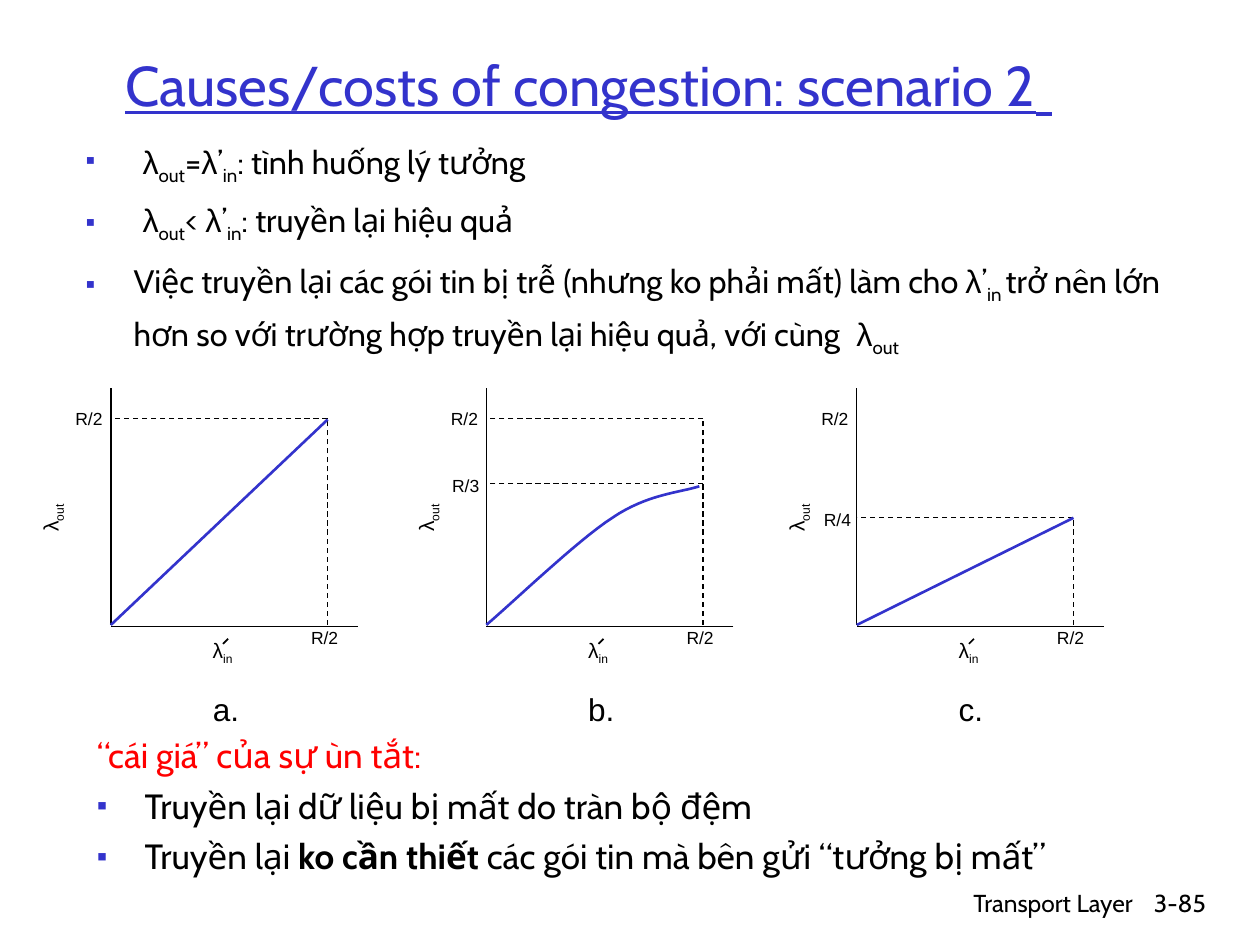
from lxml.etree import SubElement
from pptx import Presentation
from pptx.dml.color import RGBColor
from pptx.enum.dml import MSO_LINE
from pptx.enum.shapes import MSO_CONNECTOR
from pptx.enum.text import MSO_ANCHOR, MSO_AUTO_SIZE, PP_ALIGN
from pptx.oxml.ns import qn
from pptx.util import Inches, Pt

BLACK, BLUE, RED = "000000", "3333CC", "FF0000"
TITLE = "Causes/costs of congestion: scenario 2"
LAMBDA_OUT = [("λ", "greek"), ("out", "sub")]
LAMBDA_IN = [("λ", "greek"), ("’", ""), ("in", "sub")]
FACTS = [
    (0.9, [(" ", "greek"), *LAMBDA_OUT, ("=", ""), *LAMBDA_IN, (": tình huống lý tưởng", "")]),
    (1.2, [(" ", "greek"), *LAMBDA_OUT, ("< ", ""), *LAMBDA_IN, (": truyền lại hiệu quả", "")]),
    (1.2, [
        ("Việc truyền lại các gói tin bị trễ (nhưng ko phải mất) làm cho ", ""),
        *LAMBDA_IN, (" ", "sub"),
        ("trở nên lớn hơn so với trường hợp truyền lại hiệu quả, với cùng ", ""),
        (" ", "greek"), *LAMBDA_OUT,
    ]),
]
COST_HEADING = "“cái giá” của sự ùn tắt:"
COSTS = [
    [("Truyền lại dữ liệu bị mất do tràn bộ đệm", "")],
    [("Truyền lại ", ""), ("ko cần thiết", "bold"), (" các gói tin mà bên gửi “tưởng bị mất”", "")],
]
FOOTERS = [("Transport Layer", 5.92, 3.17), ("3-85", 8.93, 0.74)]

AXIS_TOP, AXIS_BASE, AXIS_LENGTH = 3.08, 4.96, 1.96
HALF_X, HALF_Y = 1.72, 3.32
GRAPHS = [
    {"name": "a.", "left": 0.88, "guides": [HALF_Y], "drop": HALF_Y, "end": 3.33},
    {"name": "b.", "left": 3.86, "guides": [HALF_Y, 3.84], "drop": HALF_Y,
     "level": ("R/3", -0.37, 3.72),
     "curve": [(0, 4.96), (0.17, 4.82), (0.72, 4.29), (1, 4.11), (1.28, 3.92), (1.54, 3.91), (1.69, 3.86)]},
    {"name": "c.", "left": 6.8, "guides": [4.11], "drop": 4.11, "end": 4.11,
     "level": ("R/4", -0.36, 3.99)},
]


def color(value):
    return RGBColor.from_string(value)


def write(para, spans, size, font="Cabin", fill=BLACK, align=PP_ALIGN.LEFT, before=0, spacing=1.0, bullet=None):
    properties = para._p.get_or_add_pPr()
    hang = 0.38 if bullet is not None else 0
    properties.set("marL", str(Inches(hang)))
    properties.set("indent", str(-Inches(hang)))
    para.alignment = align
    para.line_spacing = spacing
    para.space_before = Pt(before)
    if bullet:
        tint = SubElement(SubElement(properties, qn("a:buClr")), qn("a:srgbClr"))
        tint.set("val", BLUE)
        SubElement(properties, qn("a:buSzPct")).set("val", "85000")
        SubElement(properties, qn("a:buFont")).set("typeface", "Arial")
        SubElement(properties, qn("a:buChar")).set("char", bullet)
    else:
        SubElement(properties, qn("a:buNone"))
    for text, style in spans:
        span = para.add_run()
        span.text = text
        span.font.size = Pt(size)
        span.font.name = "Arial" if style == "greek" else font
        span.font.color.rgb = color(fill)
        if style == "bold":
            span.font.bold = True
        if style == "sub":
            span.font._element.set("baseline", "-25000")


def place(shape, left, top, width, height):
    shape.left, shape.top = Inches(left), Inches(top)
    shape.width, shape.height = Inches(width), Inches(height)


def add_text(page, spans, left, top, width, height, size, wrap=True, turn=0, **style):
    box = page.shapes.add_textbox(Inches(left), Inches(top), Inches(width), Inches(height))
    box.rotation = turn
    box.text_frame.word_wrap = wrap
    if not wrap:
        box.text_frame.auto_size = MSO_AUTO_SIZE.SHAPE_TO_FIT_TEXT
    write(box.text_frame.paragraphs[0], spans, size, **style)
    return box


def add_label(page, spans, left, top, width, height, size, **style):
    return add_text(page, spans, left, top, width, height, size, font="Arial", **style)


def add_line(page, start, end, fill=BLACK, width=0.75, dash=False):
    line = page.shapes.add_connector(MSO_CONNECTOR.STRAIGHT, *map(Inches, (*start, *end)))
    line.line.color.rgb = color(fill)
    line.line.width = Pt(width)
    if dash:
        line.line.dash_style = MSO_LINE.DASH
    SubElement(line._element.spPr, qn("a:effectLst"))


def bezier(points, steps=16):
    for step in range(1, steps + 1):
        t = step / steps
        weights = ((1 - t) ** 3, 3 * t * (1 - t) ** 2, 3 * t * t * (1 - t), t ** 3)
        yield tuple(sum(w * p[axis] for w, p in zip(weights, points)) for axis in (0, 1))


def add_curve(page, points):
    vertices = [*bezier(points[:4]), *bezier(points[3:])]
    builder = page.shapes.build_freeform(*map(Inches, points[0]))
    builder.add_line_segments([(Inches(x), Inches(y)) for x, y in vertices], close=False)
    curve = builder.convert_to_shape()
    curve.shadow.inherit = False
    curve.fill.background()
    curve.line.color.rgb = color(BLUE)
    curve.line.width = Pt(1.5)


def add_graph(page, graph):
    left = graph["left"]
    add_line(page, (left, AXIS_TOP), (left, AXIS_BASE))
    add_line(page, (left + AXIS_LENGTH, 4.97), (left, 4.97))
    for height in graph["guides"]:
        add_line(page, (left + HALF_X, height), (left, height), dash=True)
    add_line(page, (left + HALF_X, AXIS_BASE), (left + HALF_X, graph["drop"]), dash=True)
    if "curve" in graph:
        add_curve(page, [(left + x, y) for x, y in graph["curve"]])
    else:
        add_line(page, (left, AXIS_BASE), (left + HALF_X, graph["end"]), BLUE, 1.5)
    ticks = [("R/2", -0.38, 3.19), ("R/2", 1.49, 4.93)]
    if "level" in graph:
        ticks.append(graph["level"])
    for text, offset, top in ticks:
        add_label(page, [(text, "")], left + offset, top, 0.42, 0.27, 10, wrap=False)
    add_label(page, [("λ", ""), ("in", "sub")], left + 0.71, 5.01, 0.36, 0.33, 12, wrap=False)
    add_line(page, (left + 0.89, 5.11), (left + 0.93, 5.07), width=1)
    add_label(page, LAMBDA_OUT, left - 0.69, 3.93, 0.45, 0.33, 12, turn=270)
    add_label(page, [(graph["name"], "")], left + 0.71, 5.43, 0.41, 0.4, 18, wrap=False)


def main():
    deck = Presentation()
    deck.slide_width, deck.slide_height = Inches(10), Inches(7.5)
    page = deck.slides.add_slide(deck.slide_layouts[1])

    title, body = page.placeholders
    place(title, 0.42, 0, 8.5, 1.25)
    title.text_frame.vertical_anchor = MSO_ANCHOR.MIDDLE
    heading = title.text_frame.paragraphs[0]
    write(heading, [(TITLE, ""), (" ", "")], 32, fill=BLUE, align=PP_ALIGN.CENTER)
    for span, size in zip(heading.runs, (32, 40)):
        span.font.size = Pt(size)
        span.font.underline = True

    place(body, 0.58, 1.08, 9.11, 2.1)
    body.text_frame.auto_size = MSO_AUTO_SIZE.NONE
    for index, (spacing, spans) in enumerate(FACTS):
        para = body.text_frame.add_paragraph() if index else body.text_frame.paragraphs[0]
        write(para, spans, 18.5, before=5 if index else 0, spacing=spacing, bullet="▪")

    costs = add_text(page, [(COST_HEADING, "")], 0.67, 5.77, 8.91, 1.25, 20, fill=RED, bullet="")
    for spans in COSTS:
        write(costs.text_frame.add_paragraph(), spans, 20, before=5, bullet="▪")

    for graph in GRAPHS:
        add_graph(page, graph)
    for text, left, width in FOOTERS:
        add_text(page, [(text, "")], left, 7, width, 0.5, 14, align=PP_ALIGN.RIGHT)
    deck.save("out.pptx")


if __name__ == "__main__":
    main()
